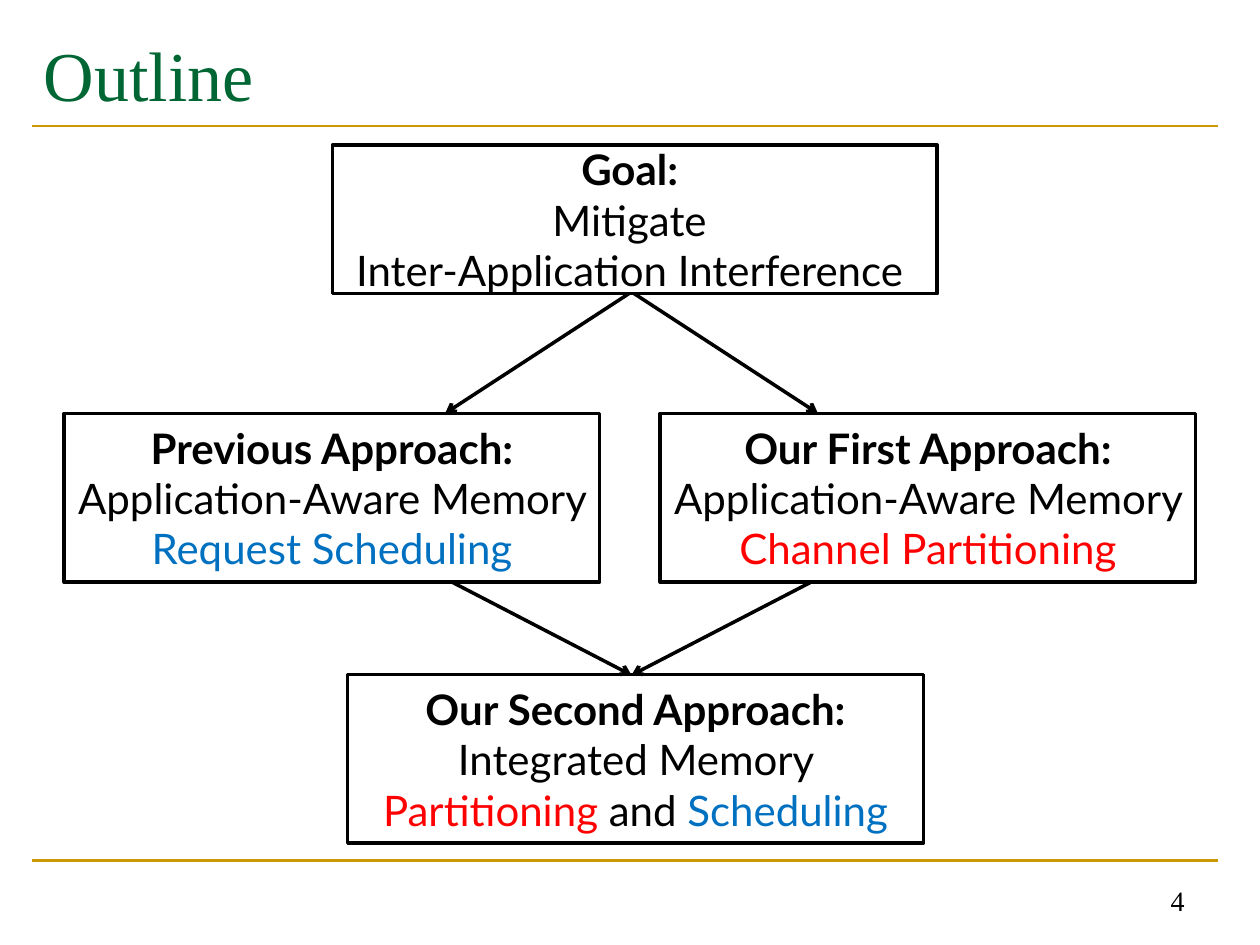
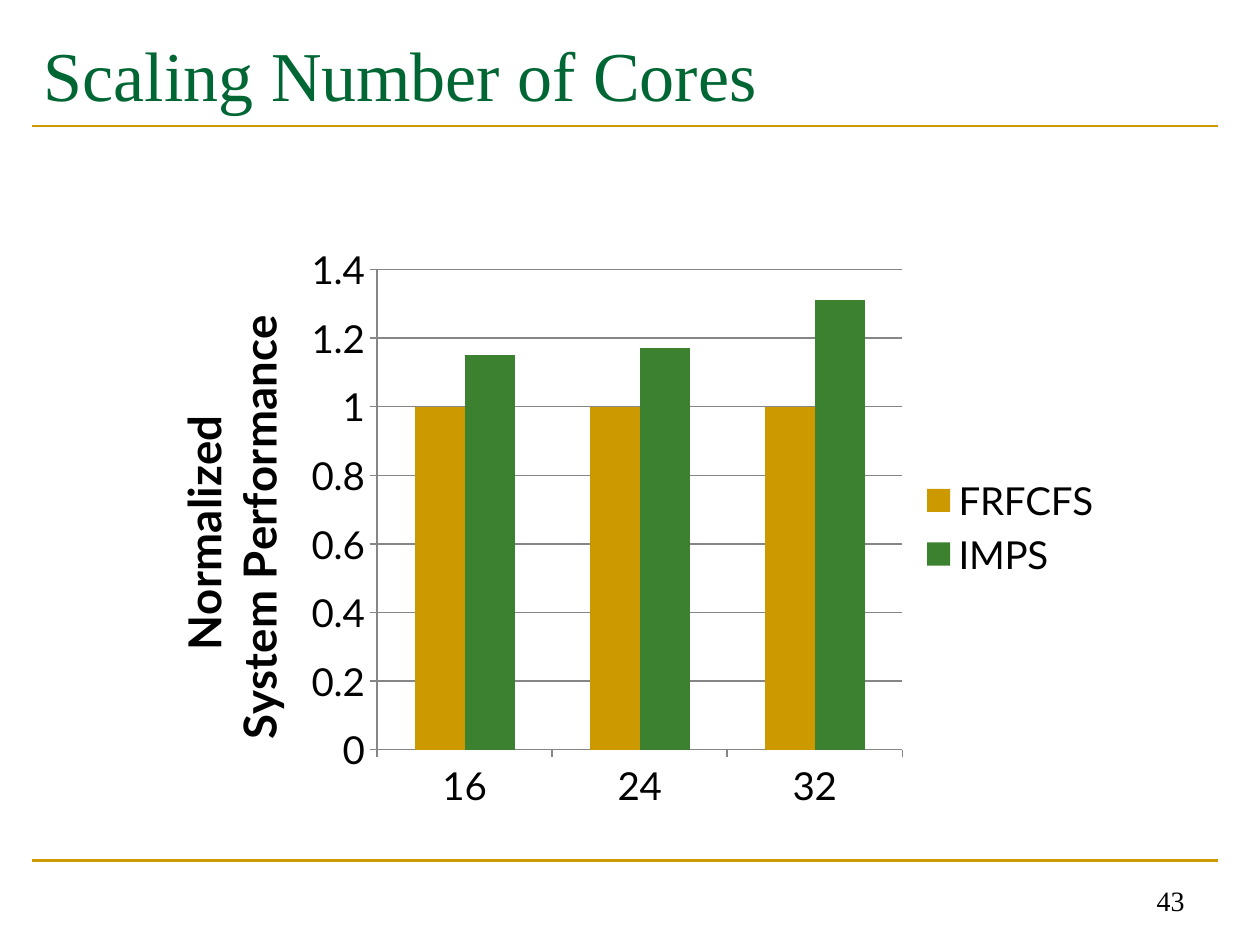
from lxml.etree import SubElement
from pptx import Presentation
from pptx.chart.data import CategoryChartData as ChartData
from pptx.dml.color import RGBColor
from pptx.enum.chart import XL_CHART_TYPE as Kind
from pptx.enum.chart import XL_LEGEND_POSITION as Side
from pptx.enum.chart import XL_TICK_MARK as Tick
from pptx.enum.shapes import MSO_CONNECTOR as Link
from pptx.enum.shapes import MSO_SHAPE as Form
from pptx.enum.text import MSO_ANCHOR as Anchor
from pptx.enum.text import PP_ALIGN as Align
from pptx.oxml import parse_xml
from pptx.oxml.ns import nsdecls, qn
from pptx.util import Pt

BLACK = RGBColor(0x00, 0x00, 0x00)
GOLD = RGBColor(0xCC, 0x99, 0x00)
PINE = RGBColor(0x00, 0x66, 0x33)
GREEN = RGBColor(0x3B, 0x81, 0x2F)
BLUE = RGBColor(0x00, 0x70, 0xC0)
RED = RGBColor(0xFF, 0x00, 0x00)
GREY = RGBColor(0x86, 0x86, 0x86)
SERIF = "Times New Roman"
SANS = "Lato"


def style(font, size, name=SANS, color=BLACK, bold=False):
    font.size, font.name, font.bold = Pt(size), name, bold
    font.color.rgb = color


def write(frame, *paras, size, align=Align.LEFT, anchor=Anchor.MIDDLE, **look):
    """Fill a frame; a paragraph is a list of (text, own format) runs."""
    frame.word_wrap = True
    frame.vertical_anchor = anchor
    for i, runs in enumerate(paras):
        para = frame.add_paragraph() if i else frame.paragraphs[0]
        para.alignment = align
        for text, own in runs:
            run = para.add_run()
            run.text = text
            style(run.font, size, **{**look, **own})


def label(slide, area, text, **look):
    box = slide.shapes.add_textbox(*map(Pt, area))
    write(box.text_frame, [(text, {})], name=SERIF, **look)


def line(slide, start, end, color=BLACK, width=2, arrow=False):
    link = slide.shapes.add_connector(
        Link.STRAIGHT, *map(Pt, (*start, *end)))
    link.line.color.rgb = color
    link.line.width = Pt(width)
    if arrow:
        SubElement(link.line._get_or_add_ln(), qn("a:tailEnd"), type="arrow")
    SubElement(link.element.spPr, qn("a:effectLst"))


def panel(slide, area, *paras):
    box = slide.shapes.add_shape(Form.RECTANGLE, *map(Pt, area))
    box.shadow.inherit = False
    box.fill.background()
    box.line.color.rgb = BLACK
    box.line.width = Pt(2)
    write(box.text_frame, *paras, size=24, align=Align.CENTER)


def page(deck, title, number):
    """Add a slide with the shared rules, title and page number."""
    slide = deck.slides.add_slide(deck.slide_layouts[6])
    for y in (491.76, 72):
        line(slide, (18, y), (696.24, y), GOLD, 1.5)
    label(slide, (18, 12.24, 678.24, 59.76), title, size=40, color=PINE)
    label(slide, (516.24, 491.76, 167.76, 36), str(number), size=16,
          align=Align.RIGHT, anchor=Anchor.BOTTOM)
    return slide


def outline(deck):
    slide = page(deck, "Outline", 4)
    bold = {"bold": True}
    mid, tall = 360.9, 96.5
    top, row, low = 167.8, 236.2, 385.4
    panel(slide, (190, 82.8, 345.6, 85), [("Goal: ", bold)],
          [("Mitigate ", {})], [("Inter-Application Interference ", {})])
    ways = (
        (36.7, -1, "Previous Approach:", "Request Scheduling", BLUE),
        (377.3, 1, "Our First Approach:", "Channel Partitioning", RED),
    )
    for left, side, head, method, color in ways:
        line(slide, (mid + side * 1.5, top), (mid + side * 106.5, row),
             arrow=True)
        panel(slide, (left, row, 306, tall), [(head, bold)],
              [("Application-Aware Memory ", {}), (method, {"color": color})])
        line(slide, (mid + side * 102.5, row + tall), (mid, low + 0.4),
             arrow=True)
    panel(slide, (198.7, low, 329, tall),
          [("Our Second Approach:", bold), (" Integrated Memory ", {}),
           ("Partitioning", {"color": RED}), (" and ", {}),
           ("Scheduling", {"color": BLUE})])


def place(chart, **spots):
    """Fix the inner plot area as fractions of the chart."""
    area = chart.element.xpath("//c:plotArea")[0]
    for old in area.findall(qn("c:layout")):
        area.remove(old)
    vals = "".join(f'<c:{key} val="{val}"/>' for key, val in spots.items())
    area.insert(0, parse_xml(
        f'<c:layout {nsdecls("c")}><c:manualLayout>'
        '<c:layoutTarget val="inner"/><c:xMode val="edge"/>'
        f'<c:yMode val="edge"/>{vals}</c:manualLayout></c:layout>'))


def scaling(deck):
    slide = page(deck, "Scaling Number of Cores", 43)
    data = ChartData()
    data.categories = ["16", "24", "32"]
    data.add_series("FRFCFS", (1, 1, 1))
    data.add_series("IMPS", (1.15, 1.17, 1.31))
    spot = map(Pt, (82.1, 133.9, 555.8, 334.8))
    chart = slide.shapes.add_chart(Kind.COLUMN_CLUSTERED, *spot, data).chart
    style(chart.font, 10)
    chart.has_title = False
    place(chart, x=0.24, y=0.06, w=0.54, h=0.82)

    plot = chart.plots[0]
    plot.vary_by_categories = False
    plot.gap_width, plot.overlap = 150, 0
    for bars, color in zip(plot.series, (GOLD, GREEN)):
        bars.format.fill.solid()
        bars.format.fill.fore_color.rgb = color

    cores, perf = chart.category_axis, chart.value_axis
    for axis in (cores, perf):
        style(axis.tick_labels.font, 22)
        axis.major_tick_mark = Tick.OUTSIDE
        axis.minor_tick_mark = Tick.NONE
        axis.format.line.color.rgb = GREY
    perf.minimum_scale, perf.maximum_scale = 0, 1.4
    perf.major_unit = 0.2
    perf.has_major_gridlines = True
    perf.major_gridlines.format.line.color.rgb = GREY
    write(perf.axis_title.text_frame, [("Normalized ", {})],
          [("System Performance", {})], size=26, bold=True,
          align=Align.CENTER)
    body = chart.element.xpath("//c:valAx/c:title//a:bodyPr")[0]
    body.set("rot", "-5400000")
    body.set("vert", "horz")

    chart.has_legend = True
    chart.legend.position = Side.RIGHT
    chart.legend.include_in_layout = False
    style(chart.legend.font, 22)


def main():
    deck = Presentation()
    deck.slide_width, deck.slide_height = Pt(720), Pt(540)
    outline(deck)
    scaling(deck)
    deck.save("out.pptx")


if __name__ == "__main__":
    main()
